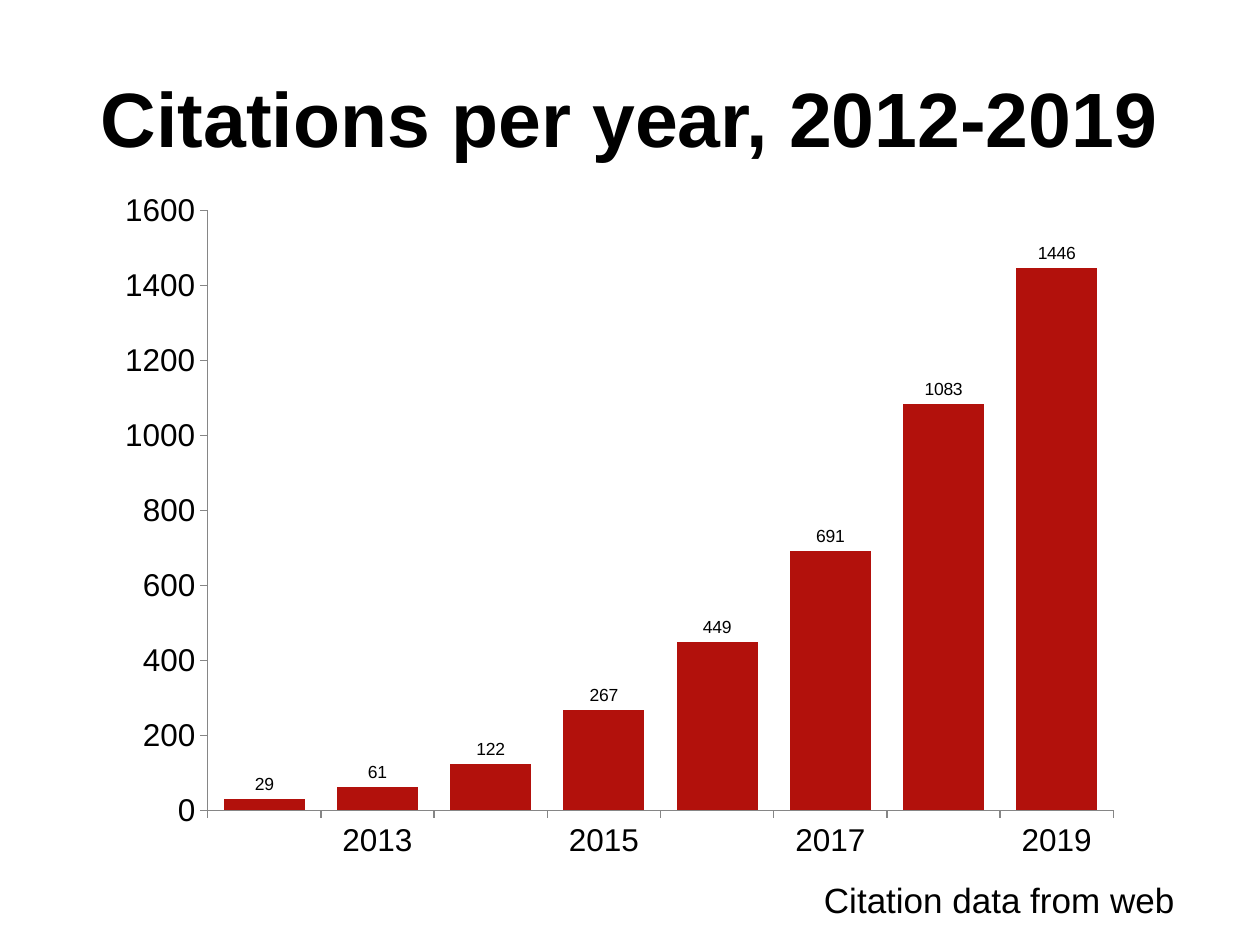
from pptx import Presentation
from pptx.chart.data import CategoryChartData
from pptx.dml.color import RGBColor
from pptx.enum.chart import XL_CHART_TYPE, XL_LABEL_POSITION, XL_TICK_MARK
from pptx.enum.text import MSO_ANCHOR, MSO_AUTO_SIZE, PP_ALIGN
from pptx.util import Inches, Pt

# Content
TITLE = "Citations per year, 2012-2019"
SOURCE = "Citation data from web "
CITATIONS = [(" ", 29), ("2013", 61), (" ", 122), ("2015", 267),
             (" ", 449), ("2017", 691), (" ", 1083), ("2019", 1446)]
FONT = "Arial"
COLORS = {"text": "000000", "bar": "B2110C", "axis": "868686"}


def color(name):
    return RGBColor.from_string(COLORS[name])


def style_font(font, size, bold=False):
    font.name = FONT
    font.size = Pt(size)
    font.bold = bold
    font.color.rgb = color("text")


def write(tf, text, size, align, bold=False):
    tf.text = text
    tf.word_wrap = True
    p = tf.paragraphs[0]
    p.alignment = align
    style_font(p.runs[0].font, size, bold)


prs = Presentation()
prs.slide_width, prs.slide_height = Inches(10), Inches(7.5)
s = prs.slides.add_slide(prs.slide_layouts[5])

# Title
title = s.shapes.title
title.left, title.top = Inches(0.5), Inches(0.3)
title.width, title.height = Inches(9), Inches(1.25)
write(title.text_frame, TITLE, 44, PP_ALIGN.CENTER, bold=True)
title.text_frame.vertical_anchor = MSO_ANCHOR.MIDDLE

# Column chart
data = CategoryChartData()
data.categories = [year for year, _ in CITATIONS]
data.add_series("Series 1", [count for _, count in CITATIONS])
chart = s.shapes.add_chart(XL_CHART_TYPE.COLUMN_CLUSTERED, Inches(0.83), Inches(1.42),
                           Inches(8.17), Inches(5.5), data).chart
chart.has_legend = False
chart.has_title = False
style_font(chart.font, 10)

plot = chart.plots[0]
plot.gap_width = 40
plot.overlap = 50
plot.vary_by_categories = False
fill = plot.series[0].format.fill
fill.solid()
fill.fore_color.rgb = color("bar")

# Value labels above the columns
plot.has_data_labels = True
labels = plot.data_labels
labels.show_value = True
labels.position = XL_LABEL_POSITION.OUTSIDE_END
style_font(labels.font, 10)

# Axes
for axis in (chart.category_axis, chart.value_axis):
    axis.has_major_gridlines = False
    axis.major_tick_mark = XL_TICK_MARK.OUTSIDE
    axis.minor_tick_mark = XL_TICK_MARK.NONE
    axis.format.line.color.rgb = color("axis")
    axis.format.line.width = Pt(0.75)
    style_font(axis.tick_labels.font, 18)
chart.value_axis.minimum_scale = 0
chart.value_axis.maximum_scale = 1600
chart.value_axis.major_unit = 200

# Data source
source = s.shapes.add_textbox(Inches(5.5), Inches(6.92), Inches(4), Inches(0.44))
write(source.text_frame, SOURCE, 20, PP_ALIGN.RIGHT)
source.text_frame.auto_size = MSO_AUTO_SIZE.SHAPE_TO_FIT_TEXT

prs.save("out.pptx")
